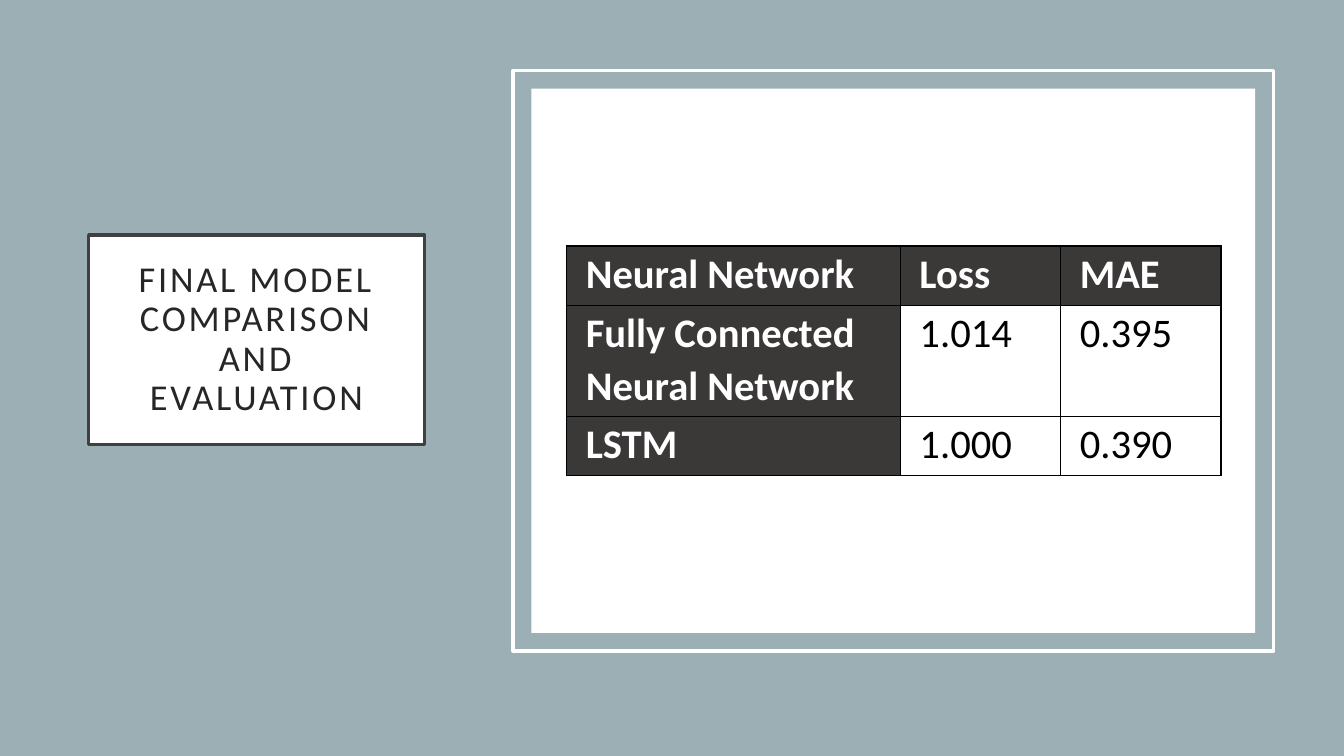
from lxml import etree
from pptx import Presentation
from pptx.dml.color import RGBColor
from pptx.enum.shapes import MSO_SHAPE
from pptx.enum.text import MSO_ANCHOR, MSO_AUTO_SIZE, PP_ALIGN
from pptx.oxml.ns import qn
from pptx.util import Inches, Pt

RECTANGLE = MSO_SHAPE.RECTANGLE
MIDDLE, TOP = MSO_ANCHOR.MIDDLE, MSO_ANCHOR.TOP
CENTER, LEFT = PP_ALIGN.CENTER, PP_ALIGN.LEFT
NO_AUTOFIT = MSO_AUTO_SIZE.NONE

WHITE = RGBColor(0xFF, 0xFF, 0xFF)
BLACK = RGBColor(0x00, 0x00, 0x00)
BLUE_GREY = RGBColor(0x9B, 0xAF, 0xB5)
TITLE_LINE = RGBColor(0x40, 0x40, 0x40)
TITLE_TEXT = RGBColor(0x26, 0x26, 0x26)
HEADER_FILL = RGBColor(0x3B, 0x38, 0x38)
FONT = "Calibri"

RESULTS = [
    ["Neural Network", "Loss", "MAE"],
    ["Fully Connected Neural Network", "1.014", "0.395"],
    ["LSTM", "1.000", "0.390"],
]
COLUMN_WIDTHS = [3.31, 1.59, 1.59]
ROW_HEIGHTS = [0.59, 1.1, 0.59]


def add_panel(left, top, width, height, fill=None, line=None):
    panel = page.shapes.add_shape(
        RECTANGLE, Inches(left), Inches(top), Inches(width), Inches(height))
    panel.shadow.inherit = False
    if fill is None:
        panel.fill.background()
    else:
        panel.fill.solid()
        panel.fill.fore_color.rgb = fill
    if line is None:
        panel.line.fill.background()
    else:
        panel.line.color.rgb = line
        panel.line.width = Pt(2.5)
    return panel


def add_borders(cell, color, width):
    properties = cell._tc.get_or_add_tcPr()
    for position, side in enumerate(["lnL", "lnR", "lnT", "lnB"]):
        border = etree.Element(qn(f"a:{side}"), w=str(width))
        fill = etree.SubElement(border, qn("a:solidFill"))
        etree.SubElement(fill, qn("a:srgbClr"), val=str(color))
        properties.insert(position, border)


deck = Presentation()
deck.slide_width, deck.slide_height = Inches(13.33), Inches(7.5)
page = deck.slides.add_slide(deck.slide_layouts[5])

# Backdrop, sent behind the title
backdrop = add_panel(0, 0, 13.33, 7.5, fill=BLUE_GREY)
page.shapes._spTree.insert(2, backdrop._element)

# Title box
title = page.shapes.title
title.left, title.top = Inches(0.88), Inches(2.33)
title.width, title.height = Inches(3.33), Inches(2.08)
title.fill.solid()
title.fill.fore_color.rgb = WHITE
title.line.color.rgb = TITLE_LINE
title.line.width = Pt(2.5)
frame = title.text_frame
frame.text = "FINAL MODEL COMPARISON AND EVALUATION"
frame.word_wrap = True
frame.auto_size = NO_AUTOFIT
frame.vertical_anchor = MIDDLE
frame.margin_left = frame.margin_right = Inches(0.3)
frame.margin_top = frame.margin_bottom = Inches(0.2)
para = frame.paragraphs[0]
para.alignment = CENTER
para.line_spacing = 0.9
para.font.name, para.font.size = FONT, Pt(26)
para.font.color.rgb = TITLE_TEXT
para.runs[0].font._element.set("spc", "200")

# Frame and white panel behind the table
add_panel(5.09, 0.7, 7.54, 5.76, line=WHITE)
add_panel(5.27, 0.88, 7.18, 5.4, fill=WHITE)

# Results table
table = page.shapes.add_table(
    len(RESULTS), len(COLUMN_WIDTHS), Inches(5.62), Inches(2.44),
    Inches(sum(COLUMN_WIDTHS)), Inches(sum(ROW_HEIGHTS))).table
table.first_row = table.horz_banding = False
for column, width in zip(table.columns, COLUMN_WIDTHS):
    column.width = Inches(width)
for row, height in zip(table.rows, ROW_HEIGHTS):
    row.height = Inches(height)

for row_number, texts in enumerate(RESULTS):
    for column_number, text in enumerate(texts):
        cell = table.cell(row_number, column_number)
        is_header = row_number == 0 or column_number == 0
        cell.text = text
        cell.vertical_anchor = TOP
        cell.margin_left = cell.margin_right = Inches(0.19)
        cell.margin_top = cell.margin_bottom = 0
        if is_header:
            cell.fill.solid()
            cell.fill.fore_color.rgb = HEADER_FILL
        else:
            cell.fill.background()
        add_borders(cell, BLACK, Pt(1))
        para = cell.text_frame.paragraphs[0]
        para.alignment = LEFT
        para.line_spacing = 1.07
        para.space_after = Pt(8)
        para.font.name, para.font.size = FONT, Pt(29)
        para.font.bold = is_header
        para.font.color.rgb = WHITE if is_header else BLACK

deck.save("out.pptx")
